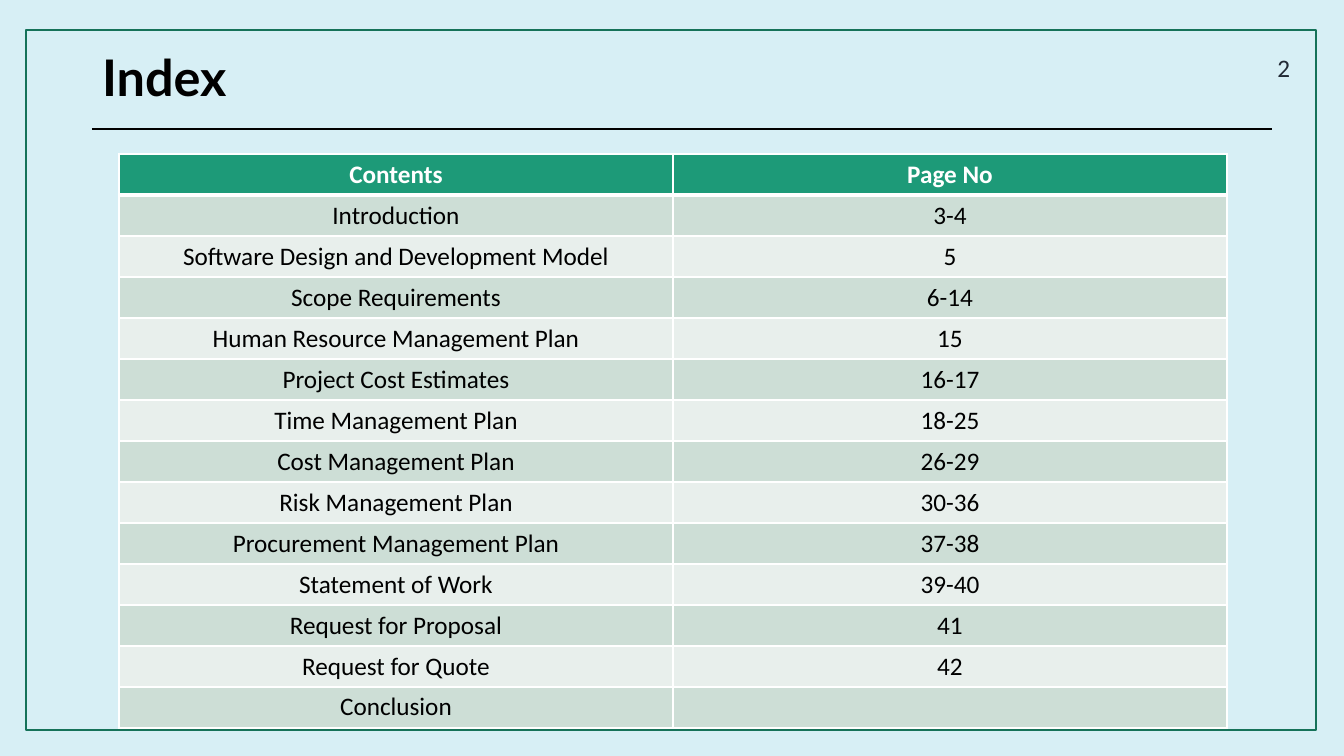
from lxml import etree
from pptx import Presentation
from pptx.dml.color import RGBColor
from pptx.enum.shapes import MSO_CONNECTOR, MSO_SHAPE
from pptx.enum.text import MSO_ANCHOR, PP_ALIGN
from pptx.oxml.ns import qn
from pptx.util import Pt

STRAIGHT, RECTANGLE = MSO_CONNECTOR.STRAIGHT, MSO_SHAPE.RECTANGLE
TOP, MIDDLE = MSO_ANCHOR.TOP, MSO_ANCHOR.MIDDLE
LEFT, CENTER, RIGHT = PP_ALIGN.LEFT, PP_ALIGN.CENTER, PP_ALIGN.RIGHT

# Content
TITLE = "Index"
PAGE_NUMBER = "2"
CONTENTS = [
    ("Contents", "Page No"),
    ("Introduction", "3-4"),
    ("Software Design and Development Model", "5"),
    ("Scope Requirements", "6-14"),
    ("Human Resource Management Plan", "15"),
    ("Project Cost Estimates", "16-17"),
    ("Time Management Plan", "18-25"),
    ("Cost Management Plan", "26-29"),
    ("Risk Management Plan", "30-36"),
    ("Procurement Management Plan", "37-38"),
    ("Statement of Work", "39-40"),
    ("Request for Proposal", "41"),
    ("Request for Quote", "42"),
    ("Conclusion", ""),
]
COLORS = {
    "background": "D7EFF5", "frame": "157259", "black": "000000",
    "white": "FFFFFF", "header": "1D9A78", "odd": "CDDED6",
    "even": "E8EFEC", "number": "222A35",
}

# Layout in px
SLIDE_W, SLIDE_H = 1344, 756
TITLE_BOX = (92, 40, 1159, 146)
TITLE_INSET = 13
RULE = (92, 129, 1272, 129)
FRAME = (26, 30, 1290, 700)
NUMBER_BOX = (1204, 47, 96, 40)
TABLE_LEFT, TABLE_TOP = 119, 154
COLUMN_W, ROW_H = 554, 41
THIN, THICK = 1, 3


def px(length):
    return round(length * 12192000 / SLIDE_W)


def emu(lengths):
    return [px(length) for length in lengths]


def rgb(name):
    return RGBColor.from_string(COLORS[name])


def write(frame, text, size, font, color, align, bold=False):
    frame.text = text
    paragraph = frame.paragraphs[0]
    paragraph.alignment = align
    for run in paragraph.runs:
        run.font.size = Pt(size)
        run.font.name = font
        run.font.bold = bold
        run.font.color.rgb = rgb(color)


def set_borders(cell, widths):
    """Widths in points, keyed by side in the order L, R, T, B."""
    properties = cell._tc.get_or_add_tcPr()
    for position, (side, width) in enumerate(widths.items()):
        line = etree.Element(qn(f"a:ln{side}"), w=str(Pt(width)))
        fill = etree.SubElement(line, qn("a:solidFill"))
        etree.SubElement(fill, qn("a:srgbClr"), val=COLORS["white"])
        properties.insert(position, line)


presentation = Presentation()
presentation.slide_width, presentation.slide_height = px(SLIDE_W), px(SLIDE_H)
slide = presentation.slides.add_slide(presentation.slide_layouts[5])
slide.background.fill.solid()
slide.background.fill.fore_color.rgb = rgb("background")

# Title and its rule
title = slide.shapes.title
title.left, title.top, title.width, title.height = emu(TITLE_BOX)
title.text_frame.vertical_anchor = TOP
title.text_frame.margin_top = px(TITLE_INSET)
write(title.text_frame, TITLE, 36, "Lato", "black", LEFT, bold=True)
title.text_frame.paragraphs[0].line_spacing = 0.9

rule = slide.shapes.add_connector(STRAIGHT, *emu(RULE))
rule.line.color.rgb = rgb("black")
rule.line.width = Pt(1.5)
etree.SubElement(rule._element.spPr, qn("a:effectLst"))

# Frame
frame = slide.shapes.add_shape(RECTANGLE, *emu(FRAME))
frame.shadow.inherit = False
frame.fill.background()
frame.line.color.rgb = rgb("frame")
frame.line.width = Pt(1)

# Contents table
row_count, column_count = len(CONTENTS), len(CONTENTS[0])
index_table = slide.shapes.add_table(
    row_count, column_count, px(TABLE_LEFT), px(TABLE_TOP),
    px(COLUMN_W * column_count), px(ROW_H * row_count)).table
for column in index_table.columns:
    column.width = px(COLUMN_W)
for r, entry in enumerate(CONTENTS):
    index_table.rows[r].height = px(ROW_H)
    is_header = r == 0
    fill_color = "header" if is_header else "odd" if r % 2 else "even"
    text_color = "white" if is_header else "black"
    borders = {"L": THIN, "R": THIN, "T": THICK if r == 1 else THIN,
               "B": THICK if is_header else THIN}
    for c, text in enumerate(entry):
        cell = index_table.cell(r, c)
        cell.fill.solid()
        cell.fill.fore_color.rgb = rgb(fill_color)
        write(cell.text_frame, text, 18, "Calibri", text_color, CENTER, is_header)
        set_borders(cell, borders)

# Page number
number = slide.shapes.add_textbox(*emu(NUMBER_BOX))
number.text_frame.word_wrap = True
number.text_frame.vertical_anchor = MIDDLE
write(number.text_frame, PAGE_NUMBER, 18, "Calibri", "number", RIGHT)

presentation.save("out.pptx")
